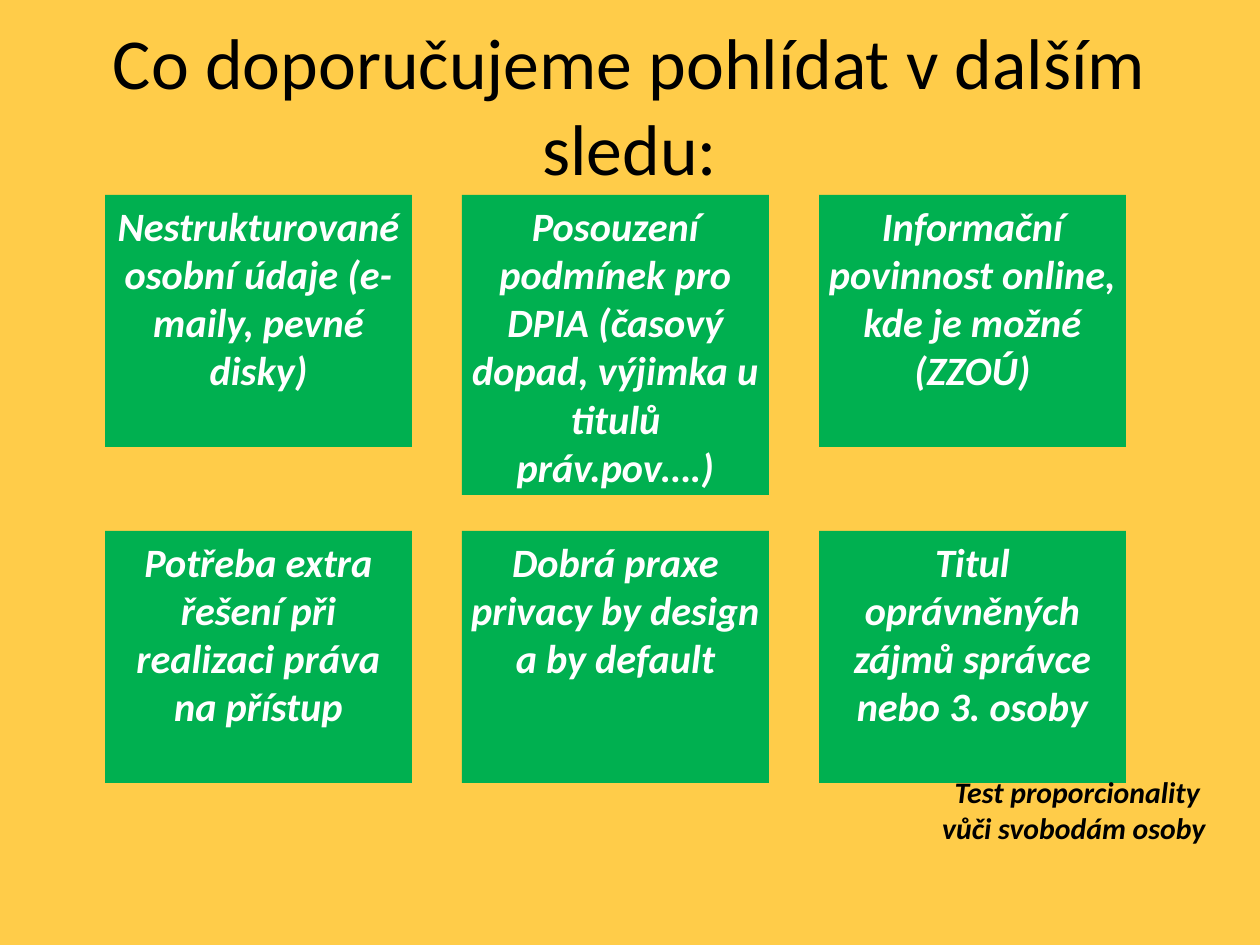
"""Builds a slide with six data protection recommendations in a grid of cards."""
from pptx import Presentation
from pptx.dml.color import RGBColor
from pptx.enum.shapes import MSO_SHAPE
from pptx.enum.text import MSO_ANCHOR, MSO_AUTO_SIZE, PP_ALIGN
from pptx.util import Emu, Pt

AMBER = RGBColor(0xFF, 0xCC, 0x49)
GREEN = RGBColor(0x00, 0xB0, 0x50)
WHITE = RGBColor(0xFF, 0xFF, 0xFF)
BLACK = RGBColor(0x00, 0x00, 0x00)

PX_PER_INCH = 126
CARD_LEFT, CARD_WIDTH, CARD_HEIGHT, TALL_HEIGHT = 105, 307, 252, 300
COLUMN_STEP = 357
ROW_TOPS = [195, 531]
CARDS = [
    ["Nestrukturované osobní údaje (e-maily, pevné disky)",
     "Posouzení podmínek pro DPIA (časový dopad, výjimka u titulů práv.pov….)",
     "Informační povinnost online, kde je možné (ZZOÚ)"],
    ["Potřeba extra řešení při realizaci práva na přístup",
     "Dobrá praxe privacy by design a by default",
     "Titul oprávněných zájmů správce nebo 3. osoby"],
]


def px(length):
    return Emu(round(length * 914400 / PX_PER_INCH))


def write(shape, text, size, color, anchor, emphasis):
    frame = shape.text_frame
    frame.word_wrap = True
    frame.auto_size = MSO_AUTO_SIZE.NONE
    frame.vertical_anchor = anchor
    frame.margin_left = frame.margin_right = px(6)
    frame.margin_top = frame.margin_bottom = px(6)
    paragraph = frame.paragraphs[0]
    paragraph.alignment = PP_ALIGN.CENTER
    run = paragraph.add_run()
    run.text = text
    run.font.name = "Calibri"
    run.font.size = Pt(size)
    run.font.bold = run.font.italic = emphasis
    run.font.color.rgb = color


presentation = Presentation()
presentation.slide_width = px(1260)
presentation.slide_height = px(945)
slide = presentation.slides.add_slide(presentation.slide_layouts[5])
slide.background.fill.solid()
slide.background.fill.fore_color.rgb = AMBER

title = slide.shapes.title
title.left, title.top, title.width, title.height = px(63), px(11), px(1134), px(185)
write(title, "Co doporučujeme pohlídat v dalším sledu:", 41, BLACK, MSO_ANCHOR.MIDDLE, False)

for row, (top, texts) in enumerate(zip(ROW_TOPS, CARDS)):
    for column, text in enumerate(texts):
        height = TALL_HEIGHT if (row, column) == (0, 1) else CARD_HEIGHT
        card = slide.shapes.add_shape(
            MSO_SHAPE.RECTANGLE, px(CARD_LEFT + column * COLUMN_STEP), px(top),
            px(CARD_WIDTH), px(height))
        card.shadow.inherit = False
        card.fill.solid()
        card.fill.fore_color.rgb = GREEN
        card.line.fill.background()
        write(card, text, 23, WHITE, MSO_ANCHOR.TOP, True)

note = slide.shapes.add_textbox(px(927), px(767), px(294), px(85))
write(note, " Test proporcionality vůči svobodám osoby", 17, BLACK, MSO_ANCHOR.MIDDLE, True)

presentation.save("out.pptx")
